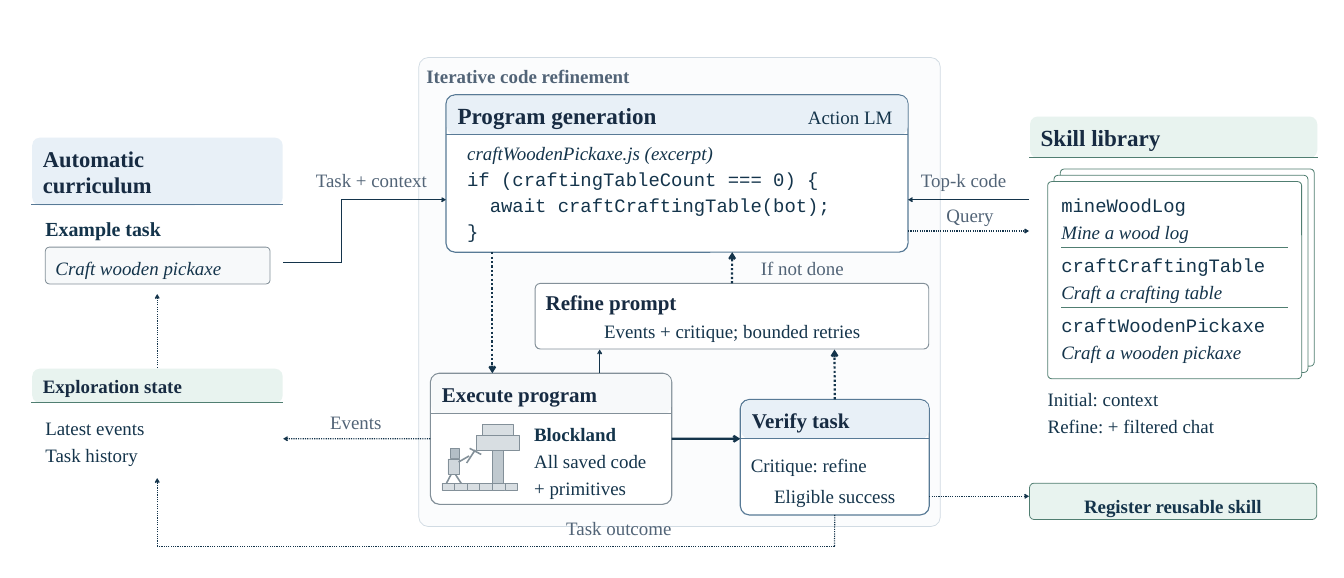
from dataclasses import dataclass
from itertools import pairwise

from lxml.etree import SubElement
from pptx import Presentation
from pptx.dml.color import RGBColor
from pptx.enum.dml import MSO_LINE
from pptx.enum.shapes import MSO_CONNECTOR, MSO_SHAPE
from pptx.enum.text import MSO_ANCHOR, PP_ALIGN
from pptx.oxml.ns import qn
from pptx.util import Inches, Pt


@dataclass(frozen=True)
class Theme:
    """Colours, fonts and type sizes of the slide."""
    white: str = "FFFFFF"
    ink: str = "14344B"
    heading: str = "172B42"
    muted: str = "526477"
    blue: str = "587A96"
    blue_tint: str = "E8F0F7"
    green: str = "507E71"
    green_tint: str = "E8F3EF"
    gray: str = "839099"
    gray_tint: str = "F7F9FA"
    panel: str = "FBFCFD"
    panel_edge: str = "D1DBE3"
    stone: str = "D8DEE2"
    trunk: str = "C0C9CF"
    head: str = "B3BEC6"
    torso: str = "D0D7DC"
    serif: str = "Times New Roman"
    code: str = "Courier New"
    body: float = 27
    label: float = 28.5
    title: float = 30
    large: float = 33
    stacked: float = 32.2


@dataclass(frozen=True)
class Box:
    """A rectangle in inches."""
    left: float
    top: float
    width: float
    height: float

    def inside(self, across, down, width, height):
        """Return a box offset from this one's top left corner."""
        return Box(self.left + across, self.top + down, width, height)

    def lengths(self):
        """Return position and size as slide lengths."""
        return [Inches(n) for n in (self.left, self.top, self.width, self.height)]


THEME = Theme()


def write(page, box, text, size=THEME.body, font=THEME.serif, color=THEME.ink,
          bold=False, italic=False, align=PP_ALIGN.LEFT, pitch=None):
    """Write one paragraph per line of text, with an optional line pitch in inches."""
    frame = page.shapes.add_textbox(*box.lengths()).text_frame
    frame.word_wrap = True
    frame.vertical_anchor = MSO_ANCHOR.MIDDLE
    frame.margin_left = frame.margin_right = frame.margin_top = frame.margin_bottom = 0
    for index, line in enumerate(text.split("\n")):
        para = frame.paragraphs[0] if index == 0 else frame.add_paragraph()
        para.alignment = align
        if pitch:
            para.line_spacing = Pt(pitch * 72)
        span = para.add_run()
        span.text = line
        span.font.name, span.font.size = font, Pt(size)
        span.font.bold, span.font.italic = bold, italic
        span.font.color.rgb = RGBColor.from_string(color)


def block(page, box, fill, edge=None, weight=1.13, radius=0):
    """Draw a rectangle, rounded when it has a radius in inches."""
    kind = MSO_SHAPE.ROUNDED_RECTANGLE if radius else MSO_SHAPE.RECTANGLE
    shape = page.shapes.add_shape(kind, *box.lengths())
    shape.shadow.inherit = False
    if radius:
        shape.adjustments[0] = radius / min(box.width, box.height)
    shape.fill.solid()
    shape.fill.fore_color.rgb = RGBColor.from_string(fill)
    if edge:
        shape.line.color.rgb = RGBColor.from_string(edge)
        shape.line.width = Pt(weight)
    else:
        shape.line.fill.background()
    return shape


def stroke(page, start, finish, color=THEME.ink, weight=1.65, dotted=False, arrow=False):
    """Draw one straight connector."""
    ends = [Inches(n) for n in (*start, *finish)]
    connector = page.shapes.add_connector(MSO_CONNECTOR.STRAIGHT, *ends)
    connector.line.color.rgb = RGBColor.from_string(color)
    connector.line.width = Pt(weight)
    if dotted:
        connector.line.dash_style = MSO_LINE.ROUND_DOT
    properties = connector._element.spPr
    if arrow:
        SubElement(properties.find(qn("a:ln")), qn("a:tailEnd"), type="arrow")
    SubElement(properties, qn("a:effectLst"))
    return connector


def route(page, *points, begin=None, end=None, **style):
    """Draw an arrow through points, joined to the (shape, side) pairs given."""
    legs = list(pairwise(points))
    parts = [stroke(page, *leg, arrow=leg is legs[-1], **style) for leg in legs]
    if begin:
        parts[0].begin_connect(*begin)
    if end:
        parts[-1].end_connect(*end)


def card(page, box, title, header, tint, rule, edge=None, size=THEME.title):
    """Draw a card with a tinted, ruled header and its title."""
    shape = block(page, box, THEME.white, edge, 1.65, 0.18)
    block(page, box.inside(0.02, 0.02, box.width - 0.03, header - 0.01), tint, radius=0.15)
    start = (box.left, box.top + header)
    stroke(page, start, (box.left + box.width, start[1]), rule, 1.05)
    lines = title.count("\n") + 1
    write(page, box.inside(0.23, 0.02, box.width - 0.46, header), title, size,
          color=THEME.heading, bold=True, pitch=0.53 if lines > 1 else None)
    return shape


def curriculum(page, box):
    """Build the automatic curriculum card."""
    shape = card(page, box, "Automatic\ncurriculum", 1.35, THEME.blue_tint,
                 THEME.blue, size=THEME.stacked)
    write(page, box.inside(0.28, 1.56, 4.46, 0.53), "Example task", THEME.label, bold=True)
    block(page, box.inside(0.28, 2.19, 4.46, 0.73), THEME.gray_tint, THEME.gray, radius=0.08)
    write(page, box.inside(0.48, 2.34, 4.04, 0.51), "Craft wooden pickaxe", italic=True)
    return shape


def exploration(page, box):
    """Build the exploration state card."""
    shape = card(page, box, "Exploration state", 0.69, THEME.green_tint, THEME.green,
                 size=THEME.body)
    write(page, box.inside(0.28, 0.87, 4.46, 1.08), "Latest events\nTask history", pitch=0.54)
    return shape


def generation(page, box):
    """Build the program generation card."""
    card(page, box, "Program generation", 0.78, THEME.blue_tint, THEME.blue,
         THEME.blue, THEME.large)
    write(page, box.inside(7.09, 0.18, 1.77, 0.51), "Action LM", align=PP_ALIGN.RIGHT)
    write(page, box.inside(0.42, 0.9, 8.33, 0.51), "craftWoodenPickaxe.js (excerpt)", italic=True)
    write(page, box.inside(0.42, 1.37, 8.33, 1.56),
          "if (craftingTableCount === 0) {\n  await craftCraftingTable(bot);\n}",
          font=THEME.code, pitch=0.52)


def block_world(page, box):
    """Draw the agent, its tool and the tree on a row of ground blocks."""
    for column in range(6):
        block(page, box.inside(column * 0.25, 1.17, 0.25, 0.15), THEME.stone, THEME.gray)
    for across, down, width, height, fill in (
            (1.01, 0.51, 0.21, 0.67, THEME.trunk), (0.81, 0, 0.6, 0.23, THEME.stone),
            (0.69, 0.23, 0.85, 0.29, THEME.stone), (0.16, 0.49, 0.19, 0.19, THEME.head),
            (0.12, 0.69, 0.23, 0.3, THEME.torso)):
        block(page, box.inside(across, down, width, height), fill, THEME.gray)
    for x1, y1, x2, y2 in ((0.18, 1, 0.09, 1.17), (0.27, 1, 0.38, 1.17),
                           (0.33, 0.75, 0.54, 0.63), (0.49, 0.77, 0.66, 0.51),
                           (0.55, 0.48, 0.78, 0.6)):
        stroke(page, (box.left + x1, box.top + y1), (box.left + x2, box.top + y2),
               THEME.gray, 2.25)


def execution(page, box):
    """Build the execute program card."""
    shape = card(page, box, "Execute program", 0.79, THEME.gray_tint, THEME.gray, THEME.gray)
    block_world(page, box.inside(0.23, 1.01, 1.54, 1.32))
    write(page, box.inside(2.06, 0.94, 2.5, 0.51), "Blockland", bold=True)
    write(page, box.inside(2.06, 1.42, 2.5, 1.08), "All saved code\n+ primitives", pitch=0.54)
    return shape


def verification(page, box):
    """Build the verify task card."""
    shape = card(page, box, "Verify task", 0.77, THEME.blue_tint, THEME.blue, THEME.blue)
    write(page, box.inside(0.21, 1.04, 3.33, 0.51), "Critique: refine")
    write(page, box.inside(0.21, 1.66, 3.33, 0.51), "Eligible success", align=PP_ALIGN.CENTER)
    return shape


def refinement(page, box):
    """Build the refine prompt box."""
    shape = block(page, box, THEME.white, THEME.gray, 1.35, 0.1)
    write(page, box.inside(0.21, 0.13, 7.4, 0.49), "Refine prompt", THEME.title,
          color=THEME.heading, bold=True)
    write(page, box.inside(0.21, 0.68, 7.4, 0.51), "Events + critique; bounded retries",
          align=PP_ALIGN.CENTER)
    return shape


def library(page, box):
    """Build the skill library with its stack of pages and the register box."""
    card(page, box, "Skill library", 0.83, THEME.green_tint, THEME.green, size=THEME.large)
    for layer in range(3):
        block(page, box.inside(0.62 - layer * 0.125, 1.06 + layer * 0.125, 5.04, 3.91),
              THEME.white, THEME.green, radius=0.08)
    skills = (("mineWoodLog", "Mine a wood log"),
              ("craftCraftingTable", "Craft a crafting table"),
              ("craftWoodenPickaxe", "Craft a wooden pickaxe"))
    for index, (name, purpose) in enumerate(skills):
        row = box.inside(0.64, 1.51 + index * 1.19, 4.5, 1.05)
        write(page, row.inside(0, 0, 4.5, 0.51), name, font=THEME.code)
        write(page, row.inside(0, 0.54, 4.5, 0.51), purpose, italic=True)
        if index:
            level = row.top - 0.09
            stroke(page, (row.left, level), (row.left + row.width, level), THEME.green, 1.13)
    write(page, box.inside(0.37, 5.3, 5, 1.08),
          "Initial: context\nRefine: + filtered chat", pitch=0.54)
    block(page, box.inside(0.01, 7.29, 5.7, 0.72), THEME.green_tint, THEME.green, radius=0.09)
    write(page, box.inside(0.2, 7.48, 5.31, 0.51), "Register reusable skill", bold=True,
          align=PP_ALIGN.CENTER)


def flow_labels(page, box):
    """Write the labels beside the arrows."""
    for text, across, down, width in (
            ("Task + context", 6.09, 3.33, 2.56), ("Top-k code", 18.12, 3.33, 2),
            ("Query", 18.65, 4.01, 1.2), ("Events", 6.41, 8.12, 1.3),
            ("Task outcome", 11.04, 10.22, 2.48), ("If not done", 14.95, 5.06, 1.94)):
        write(page, box.inside(across, down, width, 0.49), text, color=THEME.muted,
              align=PP_ALIGN.CENTER)


def diagram(page, box):
    """Place every region and join them with arrows."""
    loop = box.inside(8.31, 1.14, 10.35, 9.3)
    block(page, loop, THEME.panel, THEME.panel_edge, 1.05, 0.19)
    write(page, loop.inside(0.15, 0.12, 10.06, 0.49), "Iterative code refinement",
          color=THEME.muted, bold=True)
    task = curriculum(page, box.inside(0.62, 2.71, 5, 3.12))
    state = exploration(page, box.inside(0.62, 7.29, 5, 2.19))
    generation(page, box.inside(8.85, 1.88, 9.17, 3.12))
    execute = execution(page, box.inside(8.54, 7.4, 4.79, 2.6))
    verify = verification(page, box.inside(14.69, 7.92, 3.75, 2.29))
    refine = refinement(page, box.inside(10.62, 5.62, 7.81, 1.3))
    library(page, box.inside(20.42, 2.29, 5.73, 8.44))

    route(page, (5.62, 5.21), (6.77, 5.21), (6.77, 3.96), (8.85, 3.96))
    route(page, (9.77, 5), (9.77, 7.4), weight=3.15, dotted=True)
    route(page, (13.33, 8.7), (14.69, 8.7), begin=(execute, 3), weight=3.15)
    route(page, (18.44, 9.84), (20.42, 9.84), dotted=True)
    route(page, (20.42, 3.96), (18.02, 3.96))
    route(page, (18.02, 4.58), (20.42, 4.58), dotted=True)
    route(page, (8.54, 8.7), (5.62, 8.7), begin=(execute, 1), dotted=True)
    route(page, (16.56, 10.21), (16.56, 10.83), (3.12, 10.83), (3.12, 9.48),
          begin=(verify, 2), end=(state, 2), dotted=True)
    route(page, (3.12, 7.29), (3.12, 5.83), begin=(state, 0), end=(task, 2), dotted=True)
    route(page, (11.9, 7.4), (11.9, 6.93))
    route(page, (16.56, 7.92), (16.56, 6.93), begin=(verify, 0), weight=3.15, dotted=True)
    route(page, (14.53, 5.62), (14.53, 5), begin=(refine, 0), weight=3.15, dotted=True)
    flow_labels(page, box)


def main():
    """Build the deck and save it."""
    deck = Presentation()
    deck.slide_width, deck.slide_height = Inches(26.67), Inches(11.46)
    page = deck.slides.add_slide(deck.slide_layouts[6])
    diagram(page, Box(0, 0, 26.67, 11.46))
    deck.save("out.pptx")


if __name__ == "__main__":
    main()
